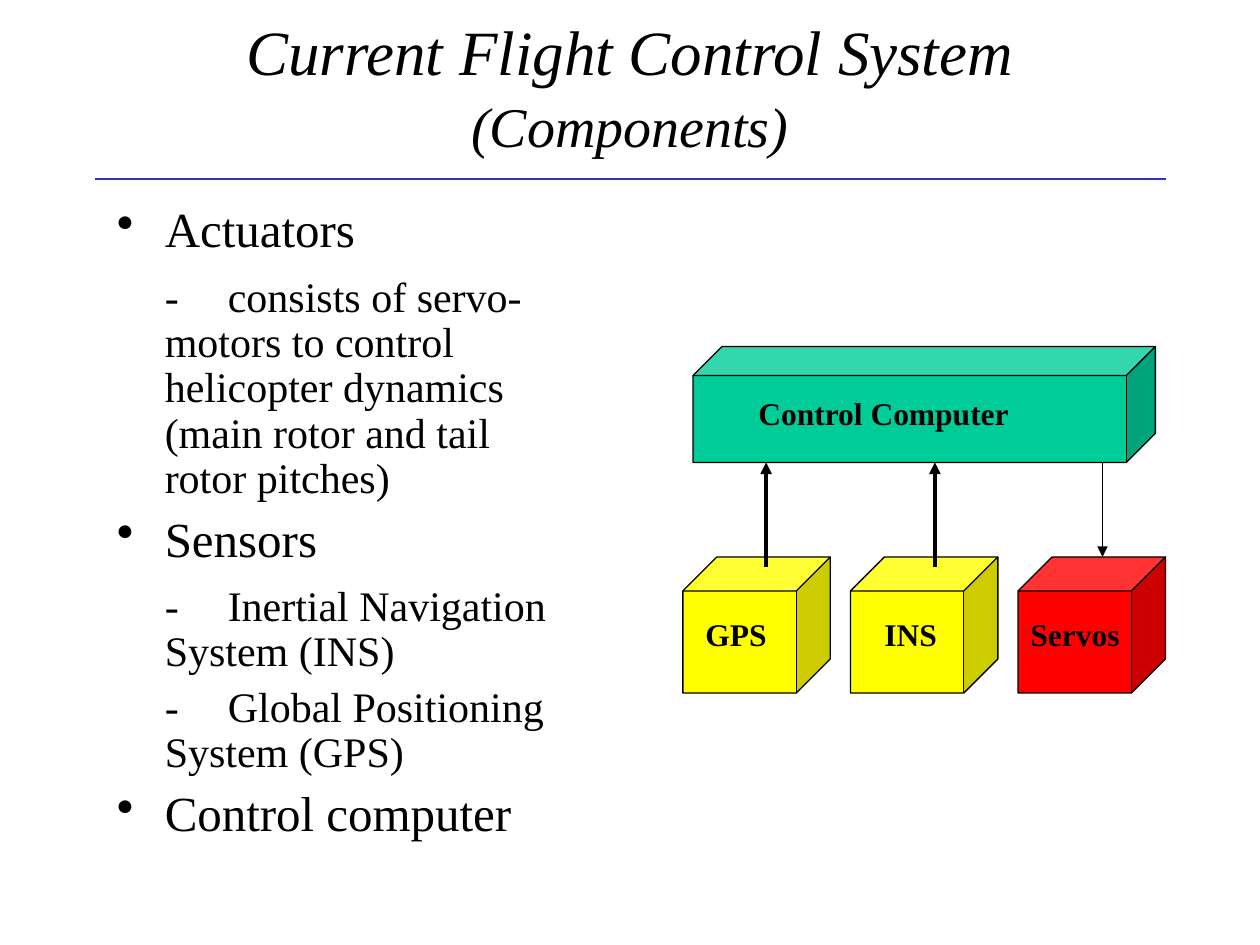
import pptx
import pptx.dml.color
import pptx.enum.shapes
import pptx.enum.text
import pptx.oxml
import pptx.oxml.ns
import pptx.util
from pptx.util import Inches

COLORS = {"black": "000000", "green": "00CC99", "yellow": "FFFF00",
          "red": "FF0000", "blue": "3333CC"}
FONT = "Times New Roman"


class Deck:
    """Holds the style and the current slide."""

    def __init__(self, slide):
        self.slide = slide

    def color(self, name):
        return pptx.dml.color.RGBColor.from_string(COLORS[name])

    def style(self, run, size, bold=False, slant=False):
        font = run.font
        font.name, font.size = FONT, pptx.util.Pt(size)
        font.bold, font.italic = bold, slant
        font.color.rgb = self.color("black")

    def node(self, parent, tag, **attrs):
        item = pptx.oxml.parse_xml(
            f"<a:{tag} {pptx.oxml.ns.nsdecls('a')}/>")
        for key, value in attrs.items():
            item.set(key, str(value))
        parent.append(item)
        return item

    def frame(self, x, y, w, h):
        box = self.slide.shapes.add_textbox(
            Inches(x), Inches(y), Inches(w), Inches(h))
        box.text_frame.word_wrap = True
        return box.text_frame

    def title(self, x, y, w, h, parts):
        frame = self.frame(x, y, w, h)
        frame.vertical_anchor = pptx.enum.text.MSO_ANCHOR.MIDDLE
        para = frame.paragraphs[0]
        para.alignment = pptx.enum.text.PP_ALIGN.CENTER
        for text, size in parts:
            run = para.add_run()
            run.text = text
            self.style(run, size, slant=True)

    def label(self, x, y, w, text):
        frame = self.frame(x, y, w, 0.4)
        frame.text = text
        self.style(frame.paragraphs[0].runs[0], 18, bold=True)

    def list(self, x, y, w, h, items):
        """Each item is text, space before and tab stop (None for a bullet)."""
        frame = self.frame(x, y, w, h)
        for count, (text, space, stop) in enumerate(items):
            para = frame.add_paragraph() if count else frame.paragraphs[0]
            para.text = text
            props = para._p.get_or_add_pPr()
            props.set("marL", str(Inches(0.38)))
            if stop is None:
                props.set("indent", str(Inches(-0.38)))
                self.node(props, "buChar", char="•")
            else:
                props.set("indent", "0")
                self.node(props, "buNone")
                tabs = self.node(props, "tabLst")
                self.node(tabs, "tab", pos=Inches(stop), algn="l")
            para.line_spacing = 0.9
            para.space_before = pptx.util.Pt(space)
            para.font.size = pptx.util.Pt(28 if stop is None else 24)
            for run in para.runs:
                self.style(run, 28 if stop is None else 24)

    def cube(self, x, y, w, h, fill):
        cube = self.slide.shapes.add_shape(
            pptx.enum.shapes.MSO_SHAPE.CUBE,
            Inches(x), Inches(y), Inches(w), Inches(h))
        cube.adjustments[0] = 0.25
        cube.shadow.inherit = False
        cube.fill.solid()
        cube.fill.fore_color.rgb = self.color(fill)
        cube.line.color.rgb = self.color("black")
        cube.line.width = pptx.util.Pt(0.75)

    def line(self, x1, y1, x2, y2, color="black", width=0.75, head=True):
        line = self.slide.shapes.add_connector(
            pptx.enum.shapes.MSO_CONNECTOR.STRAIGHT,
            Inches(x1), Inches(y1), Inches(x2), Inches(y2))
        line.line.color.rgb = self.color(color)
        line.line.width = pptx.util.Pt(width)
        if head:
            self.node(line.line._get_or_add_ln(), "tailEnd", type="triangle")
        self.node(line._element.spPr, "effectLst")


def main():
    show = pptx.Presentation()
    show.slide_width, show.slide_height = Inches(10), Inches(7.5)
    deck = Deck(show.slides.add_slide(show.slide_layouts[6]))

    # Title and rule
    deck.title(0.75, 0, 8.5, 1.25, [
        ("Current Flight Control System", 36), (" ", 44), ("(Components)", 32)])
    deck.line(0.75, 1.42, 9.25, 1.42, "blue", head=False)

    # Parts list
    deck.list(0.83, 1.58, 4.17, 5.25, [
        ("Actuators", 0, None),
        ("-\tconsists of servo-\vmotors to control\vhelicopter dynamics\v"
         "(main rotor and tail\vrotor pitches)", 10, 1),
        ("Sensors", 7, None),
        ("-\tInertial Navigation\vSystem (INS)", 10, 0.28),
        ("-\tGlobal Positioning\vSystem (GPS)", 6, 0.28),
        ("Control computer", 7, None)])

    # Control computer
    deck.cube(5.5, 2.75, 3.67, 0.92, "green")
    deck.label(5.92, 3.08, 2.42, "Control Computer")

    # Sensors and servos, evenly spaced
    units = [("GPS", "yellow", 5.5, 0.75), ("INS", "yellow", 6.92, 0.75),
             ("Servos", "red", 8.08, 0.95)]
    for count, (name, fill, left, width) in enumerate(units):
        deck.cube(5.42 + 1.33 * count, 4.42, 1.17, 1.08, fill)
        deck.label(left, 4.83, width, name)

    # Signal arrows
    for x in (6.08, 7.42):
        deck.line(x, 4.5, x, 3.67, width=2.25)
    deck.line(8.75, 3.67, 8.75, 4.42)

    show.save("out.pptx")


if __name__ == "__main__":
    main()
